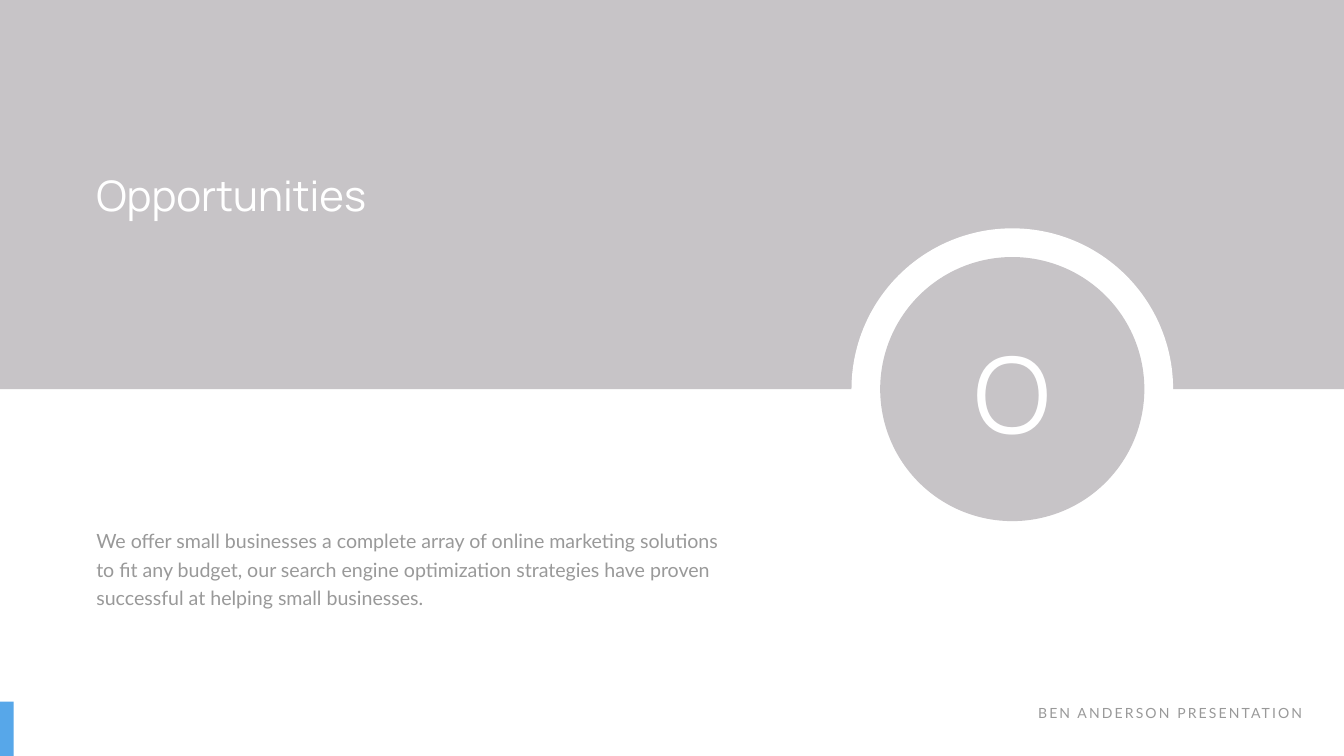
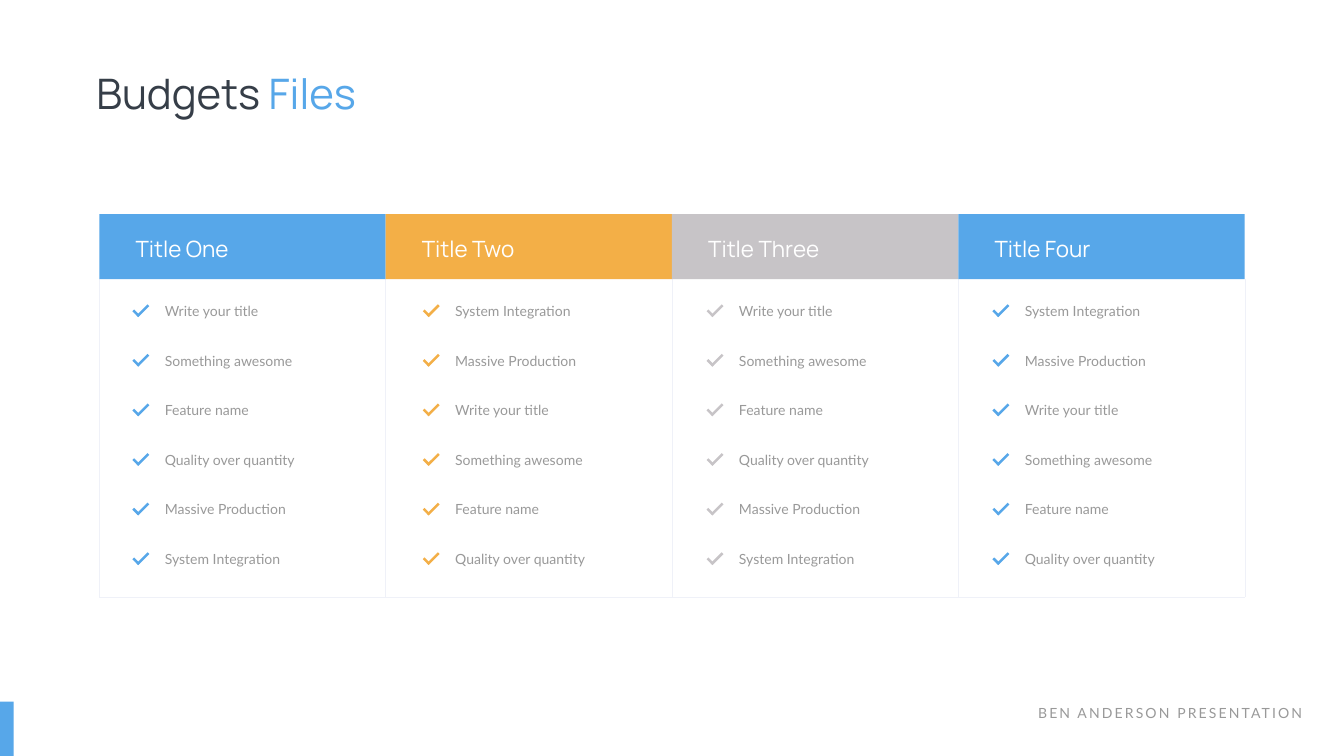
"""Builds the opportunities divider and the four-column budget overview."""
from lxml.etree import SubElement
from pptx import Presentation
from pptx.dml.color import RGBColor
from pptx.enum.shapes import MSO_CONNECTOR as LINE, MSO_SHAPE as SHAPE
from pptx.enum.text import MSO_ANCHOR as ANCHOR, MSO_AUTO_SIZE as FIT, PP_ALIGN as ALIGN
from pptx.oxml.ns import qn
from pptx.util import Inches, Pt

BLUE, ORANGE, SILVER = "57A7E9", "F3AF47", "C7C4C7"
WHITE, DARK, GREY, RULE = "FFFFFF", "363E48", "999999", "EFF1F8"
HEADING, BODY = "Manrope", "Lato"
WIDTH, HEIGHT = 26.66, 15
MARGIN = 1.81
HORIZON = 7.72
FOOTER_TOP = 13.92
colour = RGBColor.from_string


def add_block(slide, kind, at, fill, turn=0):
    block = slide.shapes.add_shape(kind, *map(Inches, at))
    block.shadow.inherit = False
    block.fill.solid()
    block.fill.fore_color.rgb = colour(fill)
    block.line.fill.background()
    block.rotation = turn
    return block


def write(holder, at, runs, font, size, align=ALIGN.LEFT, leading=None, tracking=0):
    holder.left, holder.top, holder.width, holder.height = map(Inches, at)
    frame = holder.text_frame
    frame.word_wrap, frame.auto_size = True, FIT.NONE
    frame.vertical_anchor = ANCHOR.MIDDLE
    paragraph = frame.paragraphs[0]
    paragraph.alignment, paragraph.space_before = align, Pt(0)
    if leading:
        paragraph.line_spacing = Pt(leading)
    for words, ink in runs:
        run = paragraph.add_run()
        run.text = words
        run.font.name, run.font.size = font, Pt(size)
        run.font.color.rgb = colour(ink)
        if tracking:
            run.font._element.set("spc", str(tracking * 100))


deck = Presentation()
deck.slide_width, deck.slide_height = Inches(WIDTH), Inches(HEIGHT)
opportunities = deck.slides.add_slide(deck.slide_layouts[1])
budgets = deck.slides.add_slide(deck.slide_layouts[5])

band = add_block(opportunities, SHAPE.RECTANGLE, (0, 0, WIDTH, HORIZON), SILVER)
title = opportunities.shapes.title
title.element.addprevious(band.element)
write(title, (MARGIN, 3.3, 7.05, 1.11), [("Opportunities", WHITE)], HEADING, 60)

badge_center = 20.08
for diameter, fill in ((6.38, WHITE), (5.24, SILVER)):
    corner = (badge_center - diameter / 2, HORIZON - diameter / 2)
    add_block(opportunities, SHAPE.OVAL, (*corner, diameter, diameter), fill)
initial = opportunities.shapes.add_textbox(0, 0, 0, 0)
write(initial, (badge_center - 1.82, 6.45, 3.64, 2.63), [("O", WHITE)], HEADING, 150, ALIGN.CENTER)

summary = opportunities.placeholders[1]
properties = summary.text_frame.paragraphs[0]._p.get_or_add_pPr()
properties.set("marL", "0")
properties.set("indent", "0")
SubElement(properties, qn("a:buNone"))
write(summary, (MARGIN, 10.36, 12.71, 1.77), [(
    "We offer small businesses a complete array of online marketing solutions to fit any budget, "
    "our search engine optimization strategies have proven successful at helping small businesses.",
    GREY)], BODY, 28, leading=40.8)

write(budgets.shapes.title, (MARGIN, 1.28, 14.34, 1.11),
      [("Budgets ", DARK), ("Files", BLUE)], HEADING, 60)

grid_left, column_width = 1.97, 5.68
header_top, header_height, grid_bottom = 4.25, 1.29, 11.85
header_bottom = header_top + header_height
grid_right = grid_left + 4 * column_width
first_row, row_pitch = 5.95, (10.87 - 5.95) / 5

rules = [(x, header_bottom, x, grid_bottom)
         for x in (grid_left + column * column_width for column in range(5))]
rules.append((grid_left, grid_bottom, grid_right, grid_bottom))
for ends in rules:
    rule = budgets.shapes.add_connector(LINE.STRAIGHT, *map(Inches, ends))
    rule.line.color.rgb, rule.line.width = colour(RULE), Pt(0.5)
    SubElement(rule._element.spPr, qn("a:effectLst"))

features = ["Write your title", "Something awesome", "Feature name",
            "Quality over quantity", "Massive Production", "System Integration"]
rotated_features = features[:-3:-1] + features[:4]
plans = [
    ("Title One", BLUE, 3.17, features),
    ("Title Two", ORANGE, 8.93, rotated_features),
    ("Title Three", SILVER, 14.56, features),
    ("Title Four", BLUE, 20.23, rotated_features),
]
for column, (plan, accent, list_left, entries) in enumerate(plans):
    left = grid_left + column * column_width
    add_block(budgets, SHAPE.RECTANGLE, (left, header_top, column_width, header_height), accent)
    heading = budgets.shapes.add_textbox(0, 0, 0, 0)
    write(heading, (left + 0.62, 4.62, 2.5, 0.64), [(plan, WHITE)], HEADING, 32)
    for row, entry in enumerate(entries):
        top = first_row + row * row_pitch
        feature = budgets.shapes.add_textbox(0, 0, 0, 0)
        write(feature, (list_left, top, 3.42, 0.44), [(entry, GREY)], BODY, 20)
        add_block(budgets, SHAPE.RECTANGLE, (list_left - 0.55, top + 0.24, 0.16, 0.05), accent, 45)
        add_block(budgets, SHAPE.RECTANGLE, (list_left - 0.49, top + 0.19, 0.31, 0.05), accent, 315)

for slide in (opportunities, budgets):
    add_block(slide, SHAPE.RECTANGLE, (0, FOOTER_TOP, 0.27, HEIGHT - FOOTER_TOP), BLUE)
    footer = slide.shapes.add_textbox(0, 0, 0, 0)
    write(footer, (20.08, FOOTER_TOP, 5.85, 0.44), [("BEN ANDERSON PRESENTATION", GREY)],
          BODY, 20, ALIGN.RIGHT, tracking=3)

deck.save("out.pptx")
